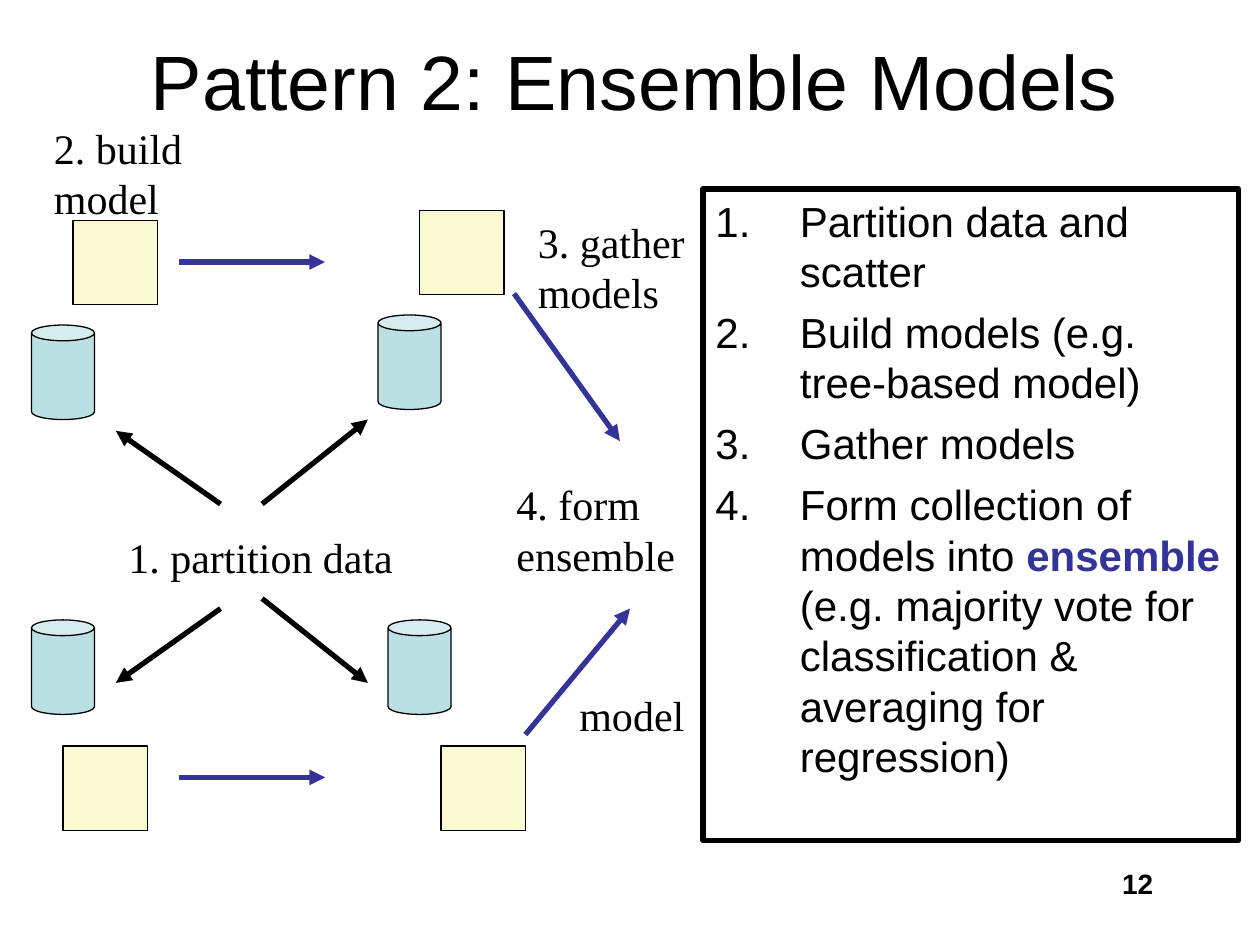
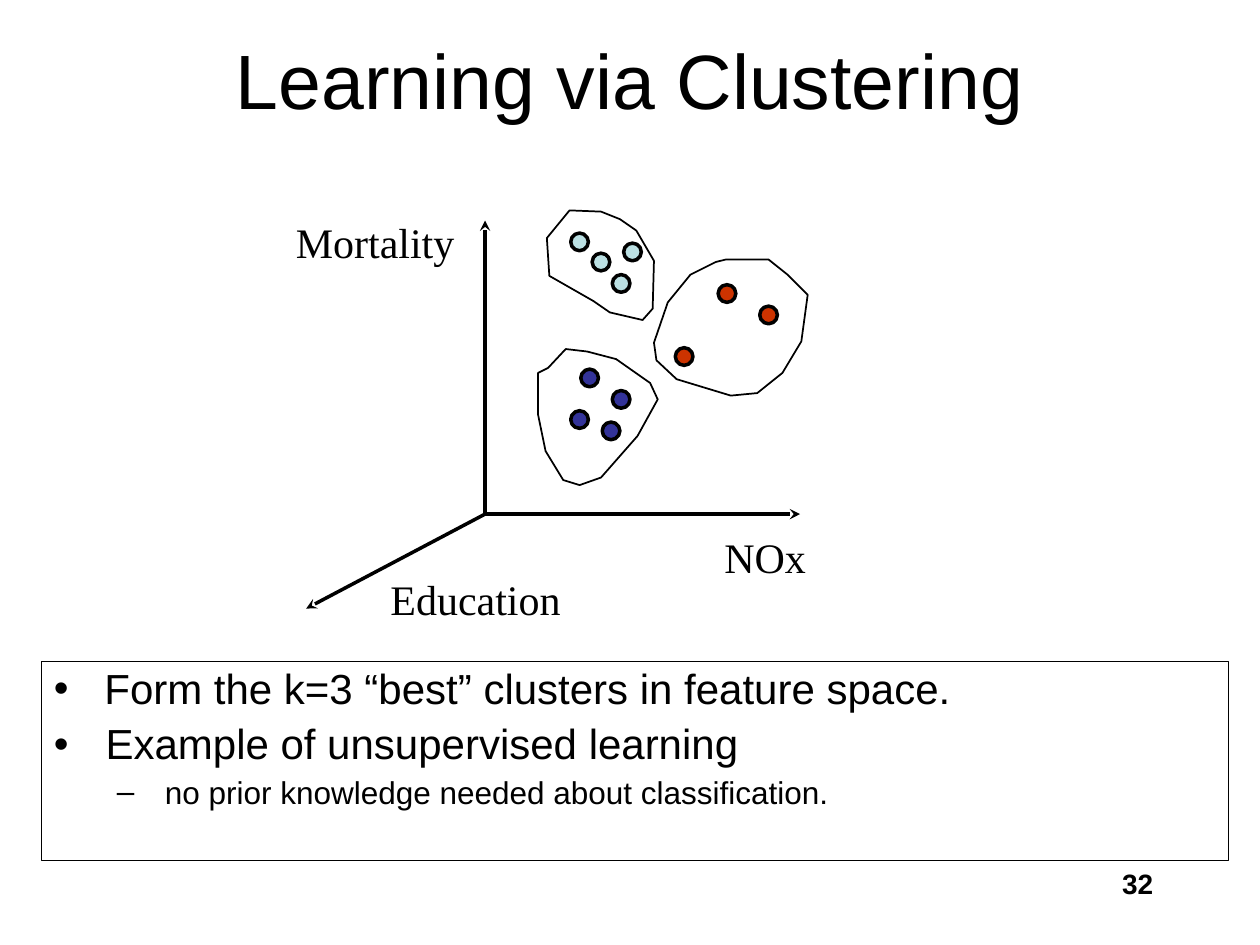
from pptx import Presentation
from pptx import util as u
from pptx.dml.color import RGBColor
from pptx.enum import shapes, text
from pptx.oxml.ns import qn
from lxml import etree

PX = 9144  # EMU per px, 100 px to the inch
COLORS = {"ink": "000000", "blue": "333399", "cream": "FAFAD2",
          "aqua": "BBE0E3", "red": "CC3300"}
SANS, SERIF = "Arial", "Times New Roman"
LABEL_H = 50

# ---- Content: ensemble slide ----
ENSEMBLE = {"title": "Pattern 2: Ensemble Models", "title_box": (33, 17, 942, 92), "page": "12"}
MODEL, STORE = (67, 67), (50, 75)
MODELS = [(58, 175), (50, 592), (333, 167), (350, 592)]
DATA_STORES = [(25, 258), (25, 492), (300, 250), (308, 492)]
SCATTER_ARROWS = [(175, 400, 92, 342), (208, 400, 292, 333),
                  (175, 483, 92, 542), (208, 475, 292, 542)]
BUILD_ARROW_YS = (208, 617)
GATHER_ARROWS = [(417, 583, 500, 483), (408, 233, 492, 350)]
STEP_LABELS = [("1. partition data", 92, 417, 242), ("3. gather models", 417, 167, 150),
               ("model", 450, 542, 117), ("4. form\nensemble", 400, 375, 208),
               ("2. build\nmodel", 33, 92, 150)]
STEPS_BOX = (558, 150, 425, 517)
STEPS = [[("Partition data and scatter", "ink")],
         [("Build models (e.g. tree-based model)", "ink")],
         [("Gather models", "ink")],
         [("Form collection of models into ", "ink"), ("ensemble", "blue"),
          (" (e.g. majority vote for classification & averaging for regression)", "ink")]]

# ---- Content: clustering slide ----
CLUSTERING = {"title": "Learning via Clustering", "title_box": (75, 0, 850, 125), "page": "32"}
ORIGIN = (385, 408)
AXIS_ENDS = [(385, 175), (635, 408), (243, 483)]
AXIS_LABELS = [("Mortality", 225, 167, 146), ("NOx", 565, 417, 85), ("Education", 300, 450, 155)]
DOT = 14
CLUSTERS = [
    {"color": "blue",
     "dots": [(461, 293), (486, 310), (478, 335), (453, 326)],
     "outline": [(427, 296), (427, 329), (433, 358), (447, 381), (460, 385), (477, 379),
                 (506, 346), (522, 317), (516, 304), (489, 285), (466, 279), (449, 277),
                 (435, 292)]},
    {"color": "aqua",
     "dots": [(453, 185), (470, 201), (486, 218), (495, 193)],
     "outline": [(452, 167), (434, 189), (436, 219), (471, 239), (484, 248), (510, 254),
                 (518, 245), (519, 207), (505, 183), (492, 174), (477, 168)]},
    {"color": "red",
     "dots": [(536, 276), (570, 226), (603, 243)],
     "outline": [(568, 208), (548, 218), (530, 240), (519, 272), (521, 286), (537, 301),
                 (580, 314), (601, 312), (621, 296), (636, 271), (641, 234), (625, 218),
                 (610, 206), (576, 206)]},
]
NOTES_BOX = (33, 525, 942, 158)
# text, level, size, left margin, hang, space before
NOTES = [("Form the k=3 “best” clusters in feature space.", 0, 24, 40, 40, 0),
         ("Example of unsupervised learning", 0, 24, 41, 41, 6),
         ("no prior knowledge needed about classification.", 1, 18, 88, 38, 4.5)]
BULLETS = "•–"


# ---- Helpers ----
def px(*lengths):
    return [u.Emu(n * PX) for n in lengths]


def rgb(name):
    return RGBColor.from_string(COLORS[name])


def add_run(p, words, size, font=SANS, color="ink", bold=False):
    for i, line in enumerate(words.split("\n")):
        if i:
            p.add_line_break()
        r = p.add_run()
        r.text = line
        r.font.size, r.font.name, r.font.bold = u.Pt(size), font, bold
        r.font.color.rgb = rgb(color)


def set_line(sp, width, color="ink"):
    sp.line.color.rgb = rgb(color)
    sp.line.width = u.Pt(width)


def add_box(s, box, wrap=True):
    sp = s.shapes.add_textbox(*px(*box))
    sp.text_frame.word_wrap = wrap
    return sp


def add_labels(s, labels, wrap=True):
    for words, *place in labels:
        sp = add_box(s, (*place, LABEL_H), wrap)
        add_run(sp.text_frame.paragraphs[0], words, 24, SERIF)


def add_presets(s, kind, corners, size, fill, width):
    for corner in corners:
        sp = s.shapes.add_shape(kind, *px(*corner, *size))
        sp.shadow.inherit = False
        sp.fill.solid()
        sp.fill.fore_color.rgb = rgb(fill)
        set_line(sp, width)


def add_arrow(s, ends, width, head, color="ink"):
    cx = s.shapes.add_connector(shapes.MSO_CONNECTOR.STRAIGHT, *px(*ends))
    set_line(cx, width, color)
    ln = cx._element.spPr.find(qn("a:ln"))
    etree.SubElement(ln, qn("a:tailEnd"), type=head)
    etree.SubElement(cx._element.spPr, qn("a:effectLst"))


def add_list_item(tf, first, margin, hang, before, tag, **mark):
    p = tf.paragraphs[0] if first else tf.add_paragraph()
    pPr = p._p.get_or_add_pPr()
    pPr.set("marL", str(margin * PX))
    pPr.set("indent", str(-hang * PX))
    etree.SubElement(pPr, qn("a:buFont"), typeface=SANS)
    etree.SubElement(pPr, qn(tag), **mark)
    p.space_before = u.Pt(0 if first else before)
    return p


def new_slide(prs, title, title_box, page):
    s = prs.slides.add_slide(prs.slide_layouts[5])
    sp = s.shapes.title
    sp.left, sp.top, sp.width, sp.height = px(*title_box)
    tf = sp.text_frame
    tf.vertical_anchor = text.MSO_ANCHOR.MIDDLE
    tf.auto_size = text.MSO_AUTO_SIZE.NONE
    tf.paragraphs[0].alignment = text.PP_ALIGN.CENTER
    add_run(tf.paragraphs[0], title, 44)
    p = add_box(s, (717, 683, 208, 50)).text_frame.paragraphs[0]
    p.alignment = text.PP_ALIGN.RIGHT
    add_run(p, page, 16, bold=True)
    return s


# ---- Slides ----
def build_ensemble(prs):
    s = new_slide(prs, **ENSEMBLE)
    add_presets(s, shapes.MSO_SHAPE.RECTANGLE, MODELS, MODEL, "cream", 0.75)
    add_presets(s, shapes.MSO_SHAPE.CAN, DATA_STORES, STORE, "aqua", 0.75)
    build_arrows = [(142, y, 258, y) for y in BUILD_ARROW_YS]
    for arrows, color in ((SCATTER_ARROWS, "ink"), (build_arrows + GATHER_ARROWS, "blue")):
        for ends in arrows:
            add_arrow(s, ends, 3, "triangle", color)
    add_labels(s, STEP_LABELS)

    # Numbered steps
    sp = add_box(s, STEPS_BOX)
    set_line(sp, 3)
    for i, runs in enumerate(STEPS):
        p = add_list_item(sp.text_frame, i == 0, 67, 67, 6,
                          "a:buAutoNum", type="arabicPeriod")
        for words, color in runs:
            add_run(p, words, 24, color=color, bold=color == "blue")


def build_clustering(prs):
    s = new_slide(prs, **CLUSTERING)
    for end in AXIS_ENDS:
        add_arrow(s, ORIGIN + end, 2, "stealth")
    add_labels(s, AXIS_LABELS, wrap=False)

    # Clusters: outline, then its dots
    for cluster in CLUSTERS:
        start, *rest = cluster["outline"]
        fb = s.shapes.build_freeform(*start, scale=PX)
        fb.add_line_segments(rest, close=True)
        sp = fb.convert_to_shape()
        sp.shadow.inherit = False
        sp.fill.background()
        set_line(sp, 1)
        add_presets(s, shapes.MSO_SHAPE.OVAL, cluster["dots"], (DOT, DOT), cluster["color"], 2)

    # Bulleted notes
    sp = add_box(s, NOTES_BOX)
    set_line(sp, 1)
    for i, (words, level, size, margin, hang, before) in enumerate(NOTES):
        p = add_list_item(sp.text_frame, i == 0, margin, hang, before,
                          "a:buChar", char=BULLETS[level])
        p.level = level
        p.line_spacing = 0.9
        add_run(p, words, size)


def main():
    prs = Presentation()
    prs.slide_width, prs.slide_height = px(1000, 750)
    build_ensemble(prs)
    build_clustering(prs)
    prs.save("out.pptx")


if __name__ == "__main__":
    main()
